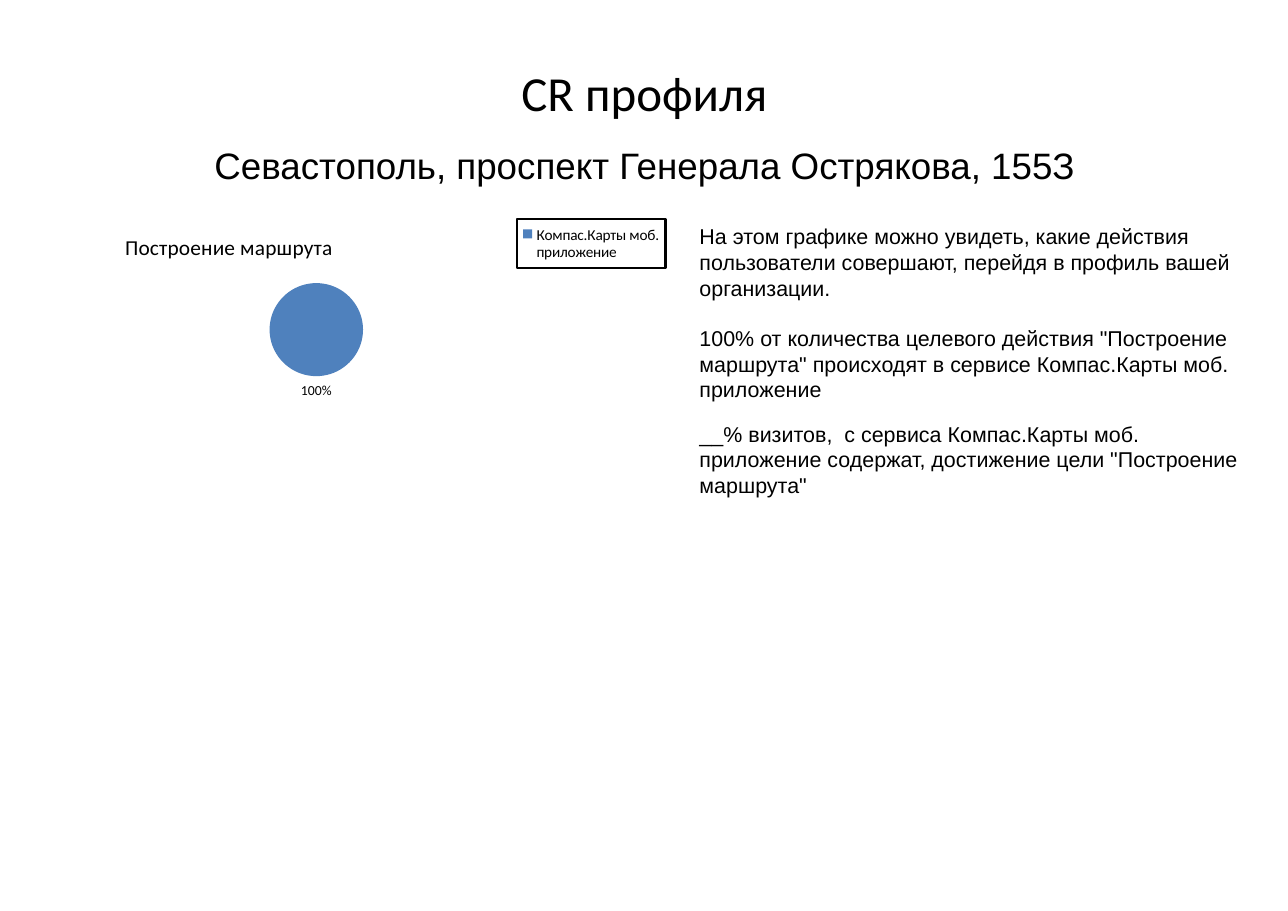
from lxml import etree
from pptx import Presentation
from pptx.chart.data import CategoryChartData
from pptx.dml.color import RGBColor
from pptx.enum.chart import XL_CHART_TYPE, XL_LABEL_POSITION, XL_LEGEND_POSITION
from pptx.enum.text import MSO_AUTO_SIZE, PP_ALIGN
from pptx.oxml import parse_xml
from pptx.oxml.ns import nsdecls, qn
from pptx.util import Inches, Pt

PIE = XL_CHART_TYPE.PIE
OUTSIDE = XL_LABEL_POSITION.OUTSIDE_END
RIGHT = XL_LEGEND_POSITION.RIGHT
GROW = MSO_AUTO_SIZE.SHAPE_TO_FIT_TEXT
CENTER = PP_ALIGN.CENTER
LEFT = PP_ALIGN.LEFT
BLACK = RGBColor(0x00, 0x00, 0x00)
BLUE = RGBColor(0x4F, 0x81, 0xBD)

SERVICE = "Компас.Карты моб. приложение"
ACTION = "Построение маршрута"
HEADING = "CR профиля"
ADDRESS = "Севастополь, проспект Генерала Острякова, 155З"
COMMENTS = [
    ("На этом графике можно увидеть, какие действия пользователи совершают, "
     "перейдя в профиль вашей организации.", 16),
    (f'100% от количества целевого действия "{ACTION}" происходят '
     f"в сервисе {SERVICE}", 12),
    (f'__% визитов,  с сервиса {SERVICE} содержат, достижение цели "{ACTION}"', 24),
]


def style_font(font, name, size):
    for key, value in {"name": name, "size": Pt(size), "bold": False}.items():
        setattr(font, key, value)
    font.color.rgb = BLACK


def add_text(page, area, entries, name, size, align=LEFT):
    box = page.shapes.add_textbox(*map(Inches, area))
    frame = box.text_frame
    for key, value in {"word_wrap": True, "auto_size": GROW}.items():
        setattr(frame, key, value)
    for index, (text, space_after) in enumerate(entries):
        para = frame.add_paragraph() if index else frame.paragraphs[0]
        for key, value in {"alignment": align, "space_after": Pt(space_after)}.items():
            setattr(para, key, value)
        span = para.add_run()
        span.text = text
        style_font(span.font, name, size)


def set_layout(element, index, target=None, **values):
    for old in element.findall(qn("c:layout")):
        element.remove(old)
    layout = parse_xml(f"<c:layout {nsdecls('c')}><c:manualLayout/></c:layout>")
    manual = layout[0]
    if target:
        etree.SubElement(manual, qn("c:layoutTarget")).set("val", target)
    for key in ("xMode", "yMode"):
        etree.SubElement(manual, qn(f"c:{key}")).set("val", "edge")
    for key, value in values.items():
        etree.SubElement(manual, qn(f"c:{key}")).set("val", str(value))
    element.insert(index, layout)


def add_title(chart):
    chart.has_title = True
    para = chart.chart_title.text_frame.paragraphs[0]
    span = para.add_run()
    span.text = ACTION
    style_font(span.font, "Calibri", 14)
    set_layout(chart.chart_title._element, 1, x=0.01, y=0.05)


def add_legend(chart):
    chart.has_legend = True
    legend = chart.legend
    for key, value in {"position": RIGHT, "include_in_layout": False}.items():
        setattr(legend, key, value)
    style_font(legend.font, "Calibri", 10)
    set_layout(legend._element, 1, x=0.73, y=0, w=0.29, h=0.25)
    border = parse_xml(
        f'<c:spPr {nsdecls("c", "a")}><a:ln w="{Pt(1.5)}"><a:solidFill>'
        f'<a:srgbClr val="{BLACK}"/></a:solidFill></a:ln></c:spPr>')
    legend._element.find(qn("c:overlay")).addnext(border)


def add_pie(page, area):
    data = CategoryChartData(number_format="0")
    data.categories = [SERVICE]
    data.add_series(ACTION, [100])
    chart = page.shapes.add_chart(PIE, *map(Inches, area), data).chart
    style_font(chart.font, "Calibri", 10)
    add_title(chart)
    add_legend(chart)
    plot = chart.plots[0]
    plot.vary_by_categories = True
    fill = plot.series[0].points[0].format.fill
    fill.solid()
    fill.fore_color.rgb = BLUE
    labels = plot.series[0].data_labels
    label_format = {"show_percentage": True, "show_value": False, "position": OUTSIDE,
                    "number_format": "0%", "number_format_is_linked": False}
    for key, value in label_format.items():
        setattr(labels, key, value)
    style_font(labels.font, "Calibri", 9)
    plot_area = chart._chartSpace.find(f".//{qn('c:plotArea')}")
    set_layout(plot_area, 0, "inner", x=0.28, y=0.33, w=0.17, h=0.48)


def main():
    deck = Presentation()
    deck.slide_width, deck.slide_height = Inches(11.69), Inches(8.27)
    page = deck.slides.add_slide(deck.slide_layouts[6])
    add_text(page, (0.64, 0.52, 10.42, 1.04), [(HEADING, 0)], "Calibri", 32, CENTER)
    add_text(page, (0.64, 1.25, 10.42, 1.04), [(ADDRESS, 0)], "Arial", 24, CENTER)
    add_text(page, (6.25, 1.98, 5.21, 5.21), COMMENTS, "Arial", 14)
    add_pie(page, (1.05, 1.98, 5, 1.77))
    deck.save("out.pptx")


if __name__ == "__main__":
    main()
